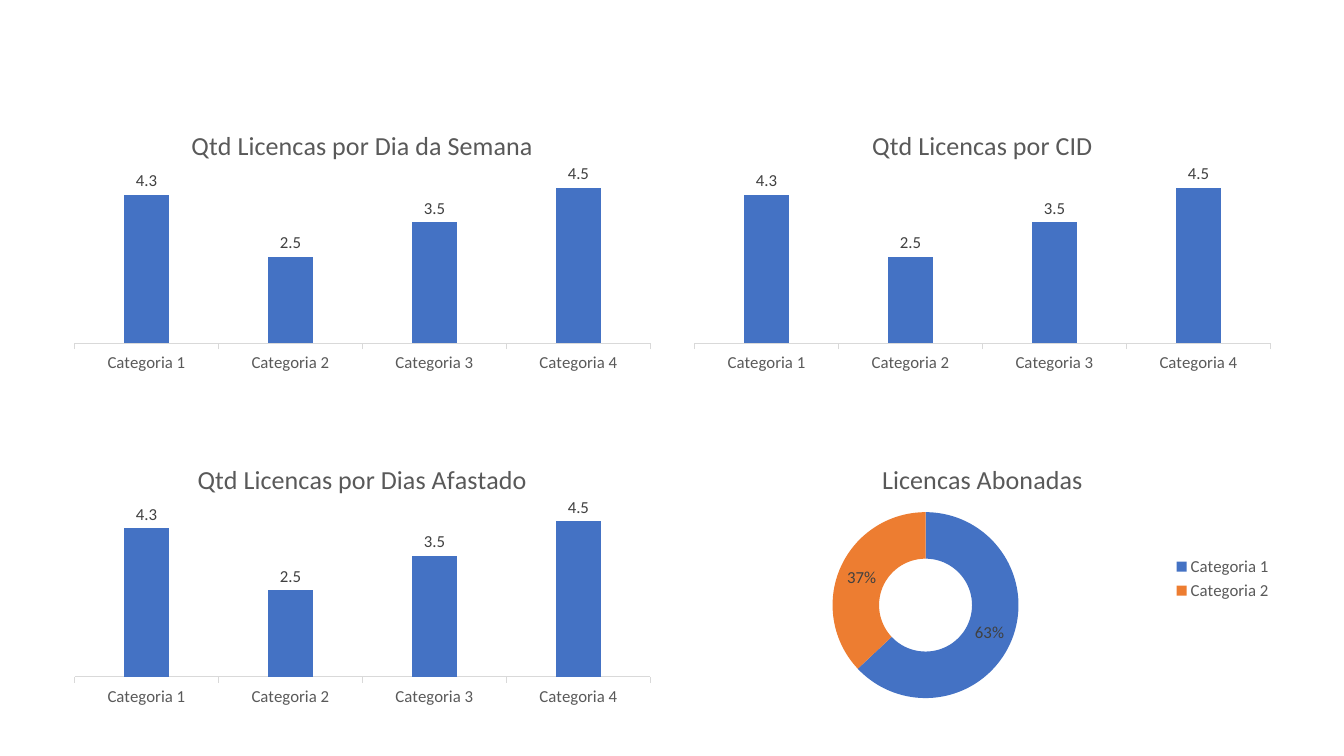
from lxml import etree
from pptx import Presentation
from pptx.chart.data import CategoryChartData
from pptx.dml.color import RGBColor
from pptx.enum.chart import XL_CHART_TYPE as ChartType
from pptx.enum.chart import XL_LABEL_POSITION as LabelPosition
from pptx.enum.chart import XL_LEGEND_POSITION as LegendPosition
from pptx.enum.chart import XL_TICK_LABEL_POSITION as TickLabelPosition
from pptx.enum.chart import XL_TICK_MARK as TickMark
from pptx.enum.shapes import MSO_SHAPE as Shape
from pptx.oxml.ns import qn
from pptx.util import Inches, Pt

FONT = "Calibri"
WHITE = RGBColor(0xFF, 0xFF, 0xFF)
BLACK = RGBColor(0, 0, 0)
BLUE = RGBColor(0x44, 0x72, 0xC4)
ORANGE = RGBColor(0xED, 0x7D, 0x31)
TEXT_GRAY = RGBColor(0x59, 0x59, 0x59)
LABEL_GRAY = RGBColor(0x40, 0x40, 0x40)
AXIS_GRAY = RGBColor(0xD9, 0xD9, 0xD9)

COLUMN_VALUES = {"Categoria 1": 4.3, "Categoria 2": 2.5,
                 "Categoria 3": 3.5, "Categoria 4": 4.5}
SHARE_VALUES = {"Categoria 1": 63, "Categoria 2": 37}
CHARTS = [
    ("Qtd Licencas por Dia da Semana", ChartType.COLUMN_CLUSTERED, COLUMN_VALUES),
    ("Qtd Licencas por CID", ChartType.COLUMN_CLUSTERED, COLUMN_VALUES),
    ("Qtd Licencas por Dias Afastado", ChartType.COLUMN_CLUSTERED, COLUMN_VALUES),
    ("Licencas Abonadas", ChartType.DOUGHNUT, SHARE_VALUES),
]

PANEL = (0.45, 0.94, 12.43, 6.28)
GRID_LEFT, GRID_TOP = 0.62, 1.11
CHART_WIDTH, CHART_HEIGHT = 5.95, 2.64
COLUMN_STEP, ROW_STEP = 6.15, 3.31
# Plot areas as fractions of the chart: x, y, width, height
COLUMN_PLOT = (0.02, 0.22, 0.96, 0.65)
DOUGHNUT_PLOT = (0.25, 0.25, 0.31, 0.7)


def style_font(font, size, color):
    font.name = FONT
    font.size = Pt(size)
    font.bold = False
    font.color.rgb = color


def fill_solid(fill, color):
    fill.solid()
    fill.fore_color.rgb = color


def place_plot(chart, box):
    """Fix the inner plot area at the given fractions of the chart."""
    plot_area = chart.element.find(f".//{qn('c:plotArea')}")
    for old_layout in plot_area.findall(qn("c:layout")):
        plot_area.remove(old_layout)
    layout = etree.Element(qn("c:layout"))
    manual = etree.SubElement(layout, qn("c:manualLayout"))
    settings = [("layoutTarget", "inner"), ("xMode", "edge"), ("yMode", "edge")]
    settings += zip("xywh", box)
    for name, value in settings:
        etree.SubElement(manual, qn(f"c:{name}")).set("val", str(value))
    plot_area.insert(0, layout)


def add_panel(slide):
    panel = slide.shapes.add_shape(Shape.RECTANGLE, *map(Inches, PANEL))
    panel.shadow.inherit = False
    fill_solid(panel.fill, WHITE)
    color = panel.element.spPr.find(f"{qn('a:solidFill')}/{qn('a:srgbClr')}")
    etree.SubElement(color, qn("a:alpha")).set("val", "90000")
    panel.line.color.rgb = WHITE
    panel.line.width = Pt(1)


def add_chart(slide, title, chart_type, values, left, top):
    data = CategoryChartData()
    data.categories = list(values)
    data.add_series("Series 1", list(values.values()))
    box = map(Inches, (left, top, CHART_WIDTH, CHART_HEIGHT))
    chart = slide.shapes.add_chart(chart_type, *box, data).chart
    style_font(chart.font, 10, BLACK)

    chart.has_title = True
    paragraph = chart.chart_title.text_frame.paragraphs[0]
    paragraph.text = title
    style_font(paragraph.runs[0].font, 18.6, TEXT_GRAY)

    plot = chart.plots[0]
    plot.has_data_labels = True
    style_font(plot.data_labels.font, 12, LABEL_GRAY)
    if chart_type == ChartType.DOUGHNUT:
        style_doughnut(chart, plot)
    else:
        style_columns(chart, plot)


def style_columns(chart, plot):
    chart.has_legend = False
    plot.vary_by_categories = False
    plot.gap_width = 219
    plot.overlap = -27
    plot.data_labels.show_value = True
    plot.data_labels.position = LabelPosition.OUTSIDE_END
    fill_solid(plot.series[0].format.fill, BLUE)

    categories = chart.category_axis
    categories.major_tick_mark = TickMark.OUTSIDE
    categories.format.line.color.rgb = AXIS_GRAY
    categories.format.line.width = Pt(0.75)
    style_font(categories.tick_labels.font, 12, TEXT_GRAY)

    value_axis = chart.value_axis
    value_axis.minimum_scale = 0
    value_axis.maximum_scale = 5
    value_axis.has_major_gridlines = False
    value_axis.tick_label_position = TickLabelPosition.NONE
    value_axis.visible = False
    place_plot(chart, COLUMN_PLOT)


def style_doughnut(chart, plot):
    plot.vary_by_categories = True
    plot.data_labels.show_value = False
    plot.data_labels.show_percentage = True
    plot.data_labels.number_format = "0%"
    plot.data_labels.number_format_is_linked = False
    for index, color in enumerate((BLUE, ORANGE)):
        fill_solid(plot.series[0].points[index].format.fill, color)
    chart.has_legend = True
    chart.legend.position = LegendPosition.RIGHT
    chart.legend.include_in_layout = False
    style_font(chart.legend.font, 12, TEXT_GRAY)
    place_plot(chart, DOUGHNUT_PLOT)


def main():
    presentation = Presentation()
    presentation.slide_width = Inches(13.33)
    presentation.slide_height = Inches(7.5)
    slide = presentation.slides.add_slide(presentation.slide_layouts[6])
    add_panel(slide)
    for index, (title, chart_type, values) in enumerate(CHARTS):
        row, column = divmod(index, 2)
        add_chart(slide, title, chart_type, values,
                  GRID_LEFT + column * COLUMN_STEP, GRID_TOP + row * ROW_STEP)
    presentation.save("out.pptx")


if __name__ == "__main__":
    main()
